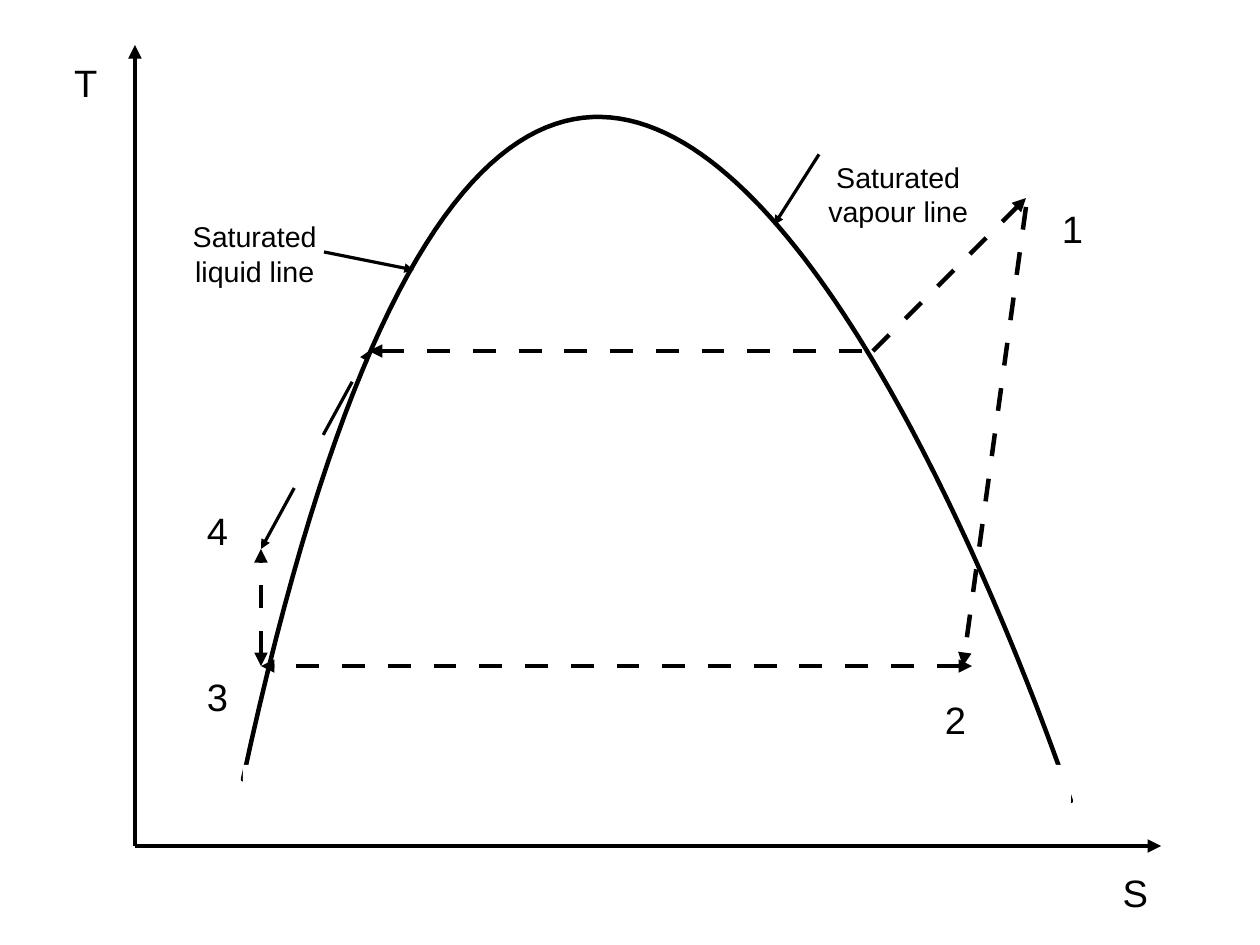
from dataclasses import dataclass

from lxml import etree
from pptx import Presentation
from pptx import util as u
from pptx.dml.color import RGBColor
from pptx.enum import shapes, text
from pptx.oxml import ns

COLUMNS, ROWS = 28, 21  # one cell is one centimetre


@dataclass(frozen=True)
class Theme:
    ink: RGBColor = RGBColor(0, 0, 0)
    paper: RGBColor = RGBColor(255, 255, 255)
    font: str = "Arial"
    symbol_size: int = 24
    label_size: int = 18
    bold_line: float = 2.83
    hairline: float = 0
    dash_length: float = 14.4


THEME = Theme()


def cells(count):
    return u.Cm(count)


def add_child(parent, tag, **attributes):
    return etree.SubElement(parent, ns.qn(tag), attributes)


def style_line(line, width):
    line.color.rgb = THEME.ink
    line.width = u.Pt(width)


def add_line(slide, start, end, width=THEME.bold_line, dashed=False, head=False, tail=False):
    """Draw a line, with arrowheads at its start (head) and end (tail)."""
    connector = slide.shapes.add_connector(
        shapes.MSO_CONNECTOR.STRAIGHT, *map(cells, start + end))
    style_line(connector.line, width)
    properties = connector._element.spPr
    line = properties.find(ns.qn("a:ln"))
    if dashed:
        # Dashes are set in line widths; a hairline counts as 0.76 pt
        share = str(round(THEME.dash_length / max(width, 0.76) * 100000))
        add_child(add_child(line, "a:custDash"), "a:ds", d=share, sp=share)
    for tag, shown in (("a:headEnd", head), ("a:tailEnd", tail)):
        if shown:
            add_child(line, tag, type="triangle")
    add_child(properties, "a:effectLst")


def add_text(slide, content, left, top, width, height, size=THEME.symbol_size,
             wrap=False, alignment=text.PP_ALIGN.LEFT):
    box = slide.shapes.add_textbox(*map(cells, (left, top, width, height)))
    frame = box.text_frame
    frame.word_wrap = wrap
    frame.auto_size = text.MSO_AUTO_SIZE.SHAPE_TO_FIT_TEXT
    paragraph = frame.paragraphs[0]
    paragraph.text = content
    paragraph.alignment = alignment
    paragraph.font.name = THEME.font
    paragraph.font.size = u.Pt(size)
    paragraph.font.color.rgb = THEME.ink


def fill_paper(shape):
    shape.shadow.inherit = False
    shape.fill.solid()
    shape.fill.fore_color.rgb = THEME.paper


def bezier_point(controls, t):
    weights = ((1 - t) ** 3, 3 * t * (1 - t) ** 2, 3 * t ** 2 * (1 - t), t ** 3)
    return tuple(cells(sum(w * point[axis] for w, point in zip(weights, controls)))
                 for axis in (0, 1))


def add_saturation_dome(slide, start, pull, end, steps=120):
    controls = (start, pull, end, end)
    points = [bezier_point(controls, step / steps) for step in range(steps + 1)]
    builder = slide.shapes.build_freeform(*points[0])
    builder.add_line_segments(points[1:], close=True)
    dome = builder.convert_to_shape()
    fill_paper(dome)
    style_line(dome.line, THEME.bold_line)


def add_base_cover(slide, left, top, width, height):
    cover = slide.shapes.add_shape(
        shapes.MSO_SHAPE.RECTANGLE, *map(cells, (left, top, width, height)))
    fill_paper(cover)
    cover.line.fill.background()


def main():
    presentation = Presentation()
    presentation.slide_width = cells(COLUMNS)
    presentation.slide_height = cells(ROWS)
    slide = presentation.slides.add_slide(presentation.slide_layouts[6])

    # Axes
    origin = (3, 18.8)
    add_line(slide, (3, 1), origin, head=True)
    add_line(slide, origin, (25.8, 18.8), tail=True)

    # Saturation dome, open at its base
    add_saturation_dome(slide, (5.4, 17.32), (12.6, -16.08), (23.8, 17.8))
    add_base_cover(slide, 5.4, 17, 18.4, 1)

    # Cycle
    pump_inlet, pump_outlet = (5.8, 14.8), (5.8, 12.2)
    liquid, vapour = (8.2, 7.8), (19.4, 7.8)
    add_line(slide, (21.6, 14.8), pump_inlet, dashed=True, head=True, tail=True)
    add_line(slide, pump_inlet, pump_outlet, dashed=True, head=True, tail=True)
    add_line(slide, pump_outlet, liquid, THEME.hairline, dashed=True, head=True, tail=True)
    add_line(slide, liquid, vapour, dashed=True, head=True)
    add_line(slide, vapour, (22.8, 4.4), dashed=True, tail=True)
    add_line(slide, (22.8, 4.6), (21.4, 14.8), dashed=True, tail=True)

    # Axis names and state numbers
    for symbol, left, top in (
        ("T", 1.4, 1.2), ("S", 24.7, 19.2),
        ("1", 23.35, 4.45), ("2", 20.75, 15.35), ("3", 4.35, 14.83), ("4", 4.35, 11.15),
    ):
        add_text(slide, symbol, left, top, 1, 1.2)

    # Curve labels with pointers
    for label, left, top, start, end in (
        ("Saturated liquid line", 3.63, 4.75, (7.2, 5.6), (9.2, 6)),
        ("Saturated vapour line", 17.93, 3.43, (18.2, 3.43), (17.2, 5)),
    ):
        add_text(slide, label, left, top, 4.06, 1.68, THEME.label_size,
                 wrap=True, alignment=text.PP_ALIGN.CENTER)
        add_line(slide, start, end, THEME.hairline, tail=True)

    presentation.save("out.pptx")


if __name__ == "__main__":
    main()
